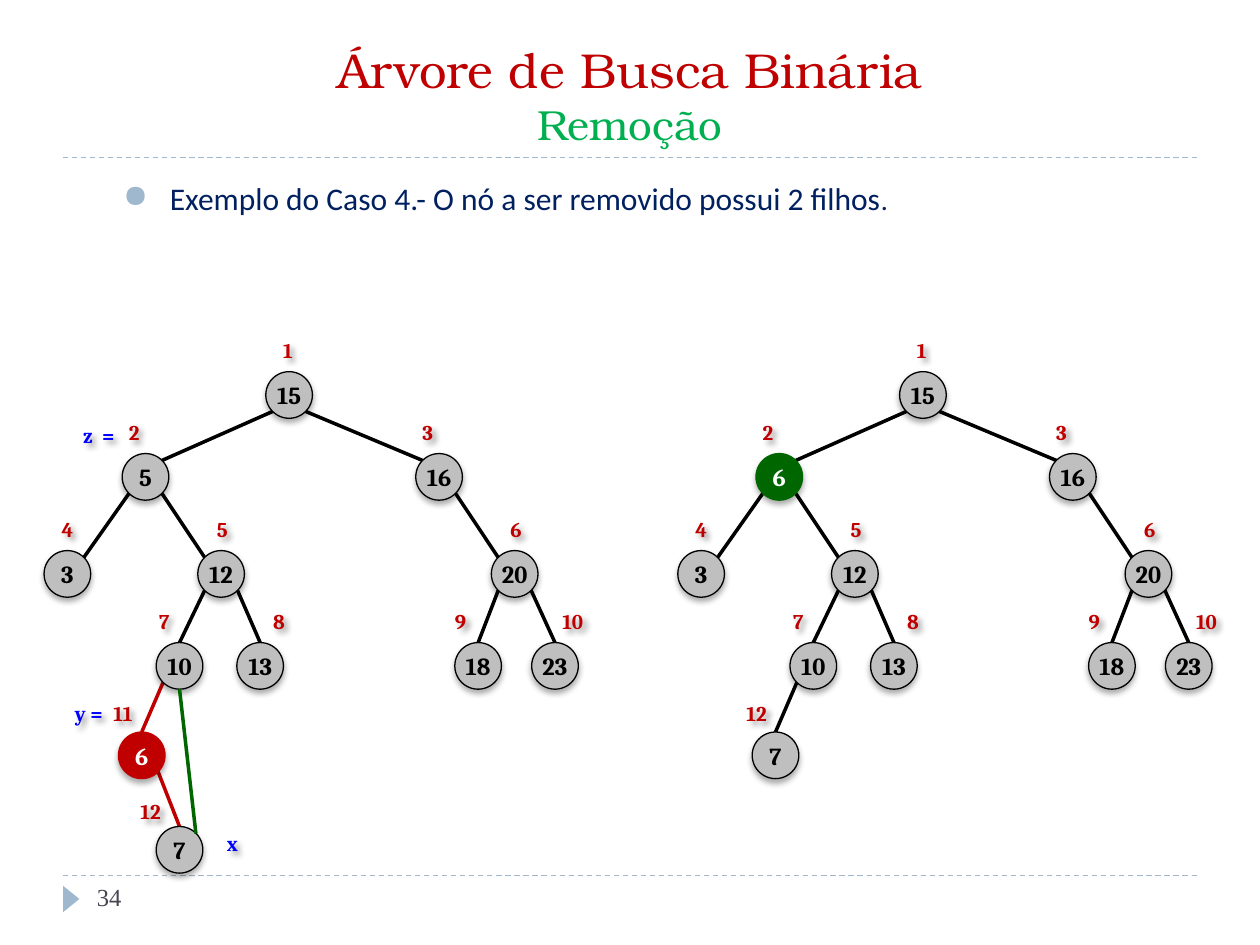
from collections import namedtuple

from lxml import etree
from pptx import Presentation
from pptx import util as u
from pptx.dml.color import RGBColor
from pptx.enum import dml, shapes, text
from pptx.oxml.ns import qn

Node = namedtuple("Node", "value row left index_left parent fill", defaults=["BFBFBF"])

DIAMETER = 0.37
CORNER = 0.13
TREE_GAP = 5.03
ROW_TOPS = [2.95, 3.6, 4.37, 5.1, 5.81, 6.56]
INDEX_TOPS = [2.63, 3.28, 4.05, 4.78, 5.51, 6.29]
INDEX_WIDTH = 0.41

BEFORE = {
    1: Node("15", 0, 2.11, 2.08, None),
    2: Node("5", 1, 0.97, 0.86, 1),
    3: Node("16", 1, 3.3, 3.19, 1),
    4: Node("3", 2, 0.35, 0.33, 2),
    5: Node("12", 2, 1.57, 1.56, 2),
    6: Node("20", 2, 3.9, 3.89, 3),
    7: Node("10", 3, 1.24, 1.1, 5),
    8: Node("13", 3, 1.88, 2.01, 5),
    9: Node("18", 3, 3.61, 3.45, 6),
    10: Node("23", 3, 4.22, 4.34, 6),
    11: Node("6", 4, 0.94, 0.77, 7, "C00000"),
    12: Node("7", 5, 1.24, 0.99, 11),
}
AFTER = {index: node for index, node in BEFORE.items() if index != 11}
AFTER[2] = BEFORE[2]._replace(value="6", fill="006600")
AFTER[12] = BEFORE[11]._replace(value="7", fill="BFBFBF")


def color(hex_code):
    return RGBColor.from_string(hex_code)


class TreeSlide:
    node_font = "Cambria"
    red = "C00000"
    green = "006600"
    blue = "0000FF"
    accent = "9FB8CD"

    def __init__(self, presentation):
        self.slide = presentation.slides.add_slide(presentation.slide_layouts[6])
        self.shapes = self.slide.shapes

    def style(self, font, size, hex_code, face=None, bold=None):
        font.size = u.Pt(size)
        font.color.rgb = color(hex_code)
        font.bold = bold
        if face:
            font.name = face

    def shadow(self, shape, opacity, distance, angle):
        shape.shadow.inherit = False
        effects = shape._element.spPr.find(qn("a:effectLst"))
        outer = etree.SubElement(
            effects, qn("a:outerShdw"), blurRad=str(u.Pt(3.5)),
            dist=str(u.Pt(distance)), dir=str(angle * 60000), rotWithShape="0")
        black = etree.SubElement(outer, qn("a:srgbClr"), val="000000")
        etree.SubElement(black, qn("a:alpha"), val=str(opacity * 1000))

    def box(self, left, top, width, height, anchor=text.MSO_ANCHOR.TOP):
        box = self.shapes.add_textbox(*map(u.Inches, (left, top, width, height)))
        box.text_frame.word_wrap = True
        box.text_frame.vertical_anchor = anchor
        return box

    def line(self, start, end, hex_code="000000", width=2, dash=None):
        line = self.shapes.add_connector(
            shapes.MSO_CONNECTOR.STRAIGHT, *map(u.Inches, (*start, *end)))
        line.line.color.rgb = color(hex_code)
        line.line.width = u.Pt(width)
        if dash:
            line.line.dash_style = dash
        etree.SubElement(line._element.spPr, qn("a:effectLst"))

    def shape(self, kind, left, top, width, height, fill):
        shape = self.shapes.add_shape(kind, *map(u.Inches, (left, top, width, height)))
        shape.shadow.inherit = False
        shape.fill.solid()
        shape.fill.fore_color.rgb = color(fill)
        return shape

    def label(self, words, left, top, width, hex_code):
        label = self.box(left, top, width, 0.3, text.MSO_ANCHOR.MIDDLE)
        label.text_frame.auto_size = text.MSO_AUTO_SIZE.SHAPE_TO_FIT_TEXT
        paragraph = label.text_frame.paragraphs[0]
        paragraph.text = words
        paragraph.alignment = text.PP_ALIGN.CENTER
        self.style(paragraph.font, 12, hex_code, self.node_font, True)
        self.shadow(label, 40, 3, 45)

    def node(self, node, offset):
        plain = node.fill == "BFBFBF"
        circle = self.shape(shapes.MSO_SHAPE.OVAL, node.left + offset,
                            ROW_TOPS[node.row], DIAMETER, DIAMETER, node.fill)
        circle.line.color.rgb = color("000000" if plain else node.fill)
        circle.line.width = u.Pt(0.75)
        self.shadow(circle, 32, 2.2, 90)
        frame = circle.text_frame
        frame.margin_left = frame.margin_right = frame.margin_top = frame.margin_bottom = 0
        frame.vertical_anchor = text.MSO_ANCHOR.MIDDLE
        frame.word_wrap = False
        paragraph = frame.paragraphs[0]
        paragraph.text = node.value
        paragraph.alignment = text.PP_ALIGN.CENTER
        self.style(paragraph.font, 14, "000000" if plain else "FFFFFF",
                   self.node_font, True)

    def edge(self, parent, child, offset, hex_code):
        side = 1 if child.left > parent.left else -1
        radius = DIAMETER / 2
        parent_x = parent.left + offset + radius
        child_x = child.left + offset + radius
        start = parent_x + side * CORNER, ROW_TOPS[parent.row] + radius + CORNER
        if child.row < 3:
            end = child_x - side * CORNER, ROW_TOPS[child.row] + radius - CORNER
        else:
            end = child_x, ROW_TOPS[child.row]
        self.line(start, end, hex_code)

    def tree(self, nodes, offset, removed=None):
        self.shapes = self.slide.shapes.add_group_shape().shapes
        for index, node in nodes.items():
            if node.parent:
                parent = nodes.get(node.parent, nodes[7])
                cut = removed and removed in (index, node.parent)
                self.edge(parent, node, offset, self.red if cut else "000000")
        for index, node in nodes.items():
            self.node(node, offset)
            self.label(str(index), node.index_left + offset, INDEX_TOPS[node.row],
                       INDEX_WIDTH, self.red)

    def pointers(self, nodes):
        for words, left, top in [("y =", 0.34, 5.51), ("z  =", 0.42, 3.3), ("x", 1.48, 6.54)]:
            self.label(words, left, top, 0.73, self.blue)
        x, x_parent = nodes[12], nodes[7]
        radius = DIAMETER / 2
        self.line((x.left + radius + CORNER, ROW_TOPS[x.row] + radius - CORNER),
                  (x_parent.left + radius, ROW_TOPS[x_parent.row] + DIAMETER), self.green)

    def title(self, heading, subheading):
        frame = self.box(0.5, 0.25, 9, 1, text.MSO_ANCHOR.MIDDLE).text_frame
        paragraph = frame.paragraphs[0]
        paragraph.alignment = text.PP_ALIGN.CENTER
        first = paragraph.add_run()
        first.text = heading
        paragraph.add_line_break()
        second = paragraph.add_run()
        second.text = subheading
        self.style(first.font, 28, "C00000", "TeX Gyre Bonum")
        self.style(second.font, 24, "00B050", "TeX Gyre Bonum")

    def bullet(self, words, stop):
        paragraph = self.box(0.88, 1.37, 8.5, 0.45).text_frame.paragraphs[0]
        paragraph.alignment = text.PP_ALIGN.JUSTIFY
        for part, size in [(words, 18), (stop, 16)]:
            run = paragraph.add_run()
            run.text = part
            self.style(run.font, size, "002060", "Calibri")
        properties = paragraph._p.get_or_add_pPr()
        properties.set("marL", str(u.Inches(0.37)))
        properties.set("indent", str(-u.Inches(0.37)))
        bullet_color = etree.SubElement(properties, qn("a:buClr"))
        etree.SubElement(bullet_color, qn("a:srgbClr"), val=self.accent)
        etree.SubElement(properties, qn("a:buChar"), char="●")

    def frame(self, number):
        for y in (6.95, 1.25):
            self.line((0.5, y), (9.5, y), self.accent, 0.75, dml.MSO_LINE.DASH)
        marker = self.shape(shapes.MSO_SHAPE.ISOSCELES_TRIANGLE,
                            0.46, 7.07, 0.21, 0.13, self.accent)
        marker.rotation = 90
        marker.line.fill.background()
        paragraph = self.box(0.67, 6.95, 2.17, 0.4).text_frame.paragraphs[0]
        paragraph.text = number
        self.style(paragraph.font, 14, "464653", "Times New Roman")


def main():
    presentation = Presentation()
    presentation.slide_width = u.Inches(10)
    presentation.slide_height = u.Inches(7.5)
    page = TreeSlide(presentation)
    page.frame("34")
    page.title("Árvore de Busca Binária", "Remoção")
    page.bullet("Exemplo do Caso 4.- O nó a ser removido possui 2 filhos", ".")
    page.tree(AFTER, TREE_GAP)
    page.tree(BEFORE, 0, removed=11)
    page.pointers(BEFORE)
    presentation.save("out.pptx")


if __name__ == "__main__":
    main()
